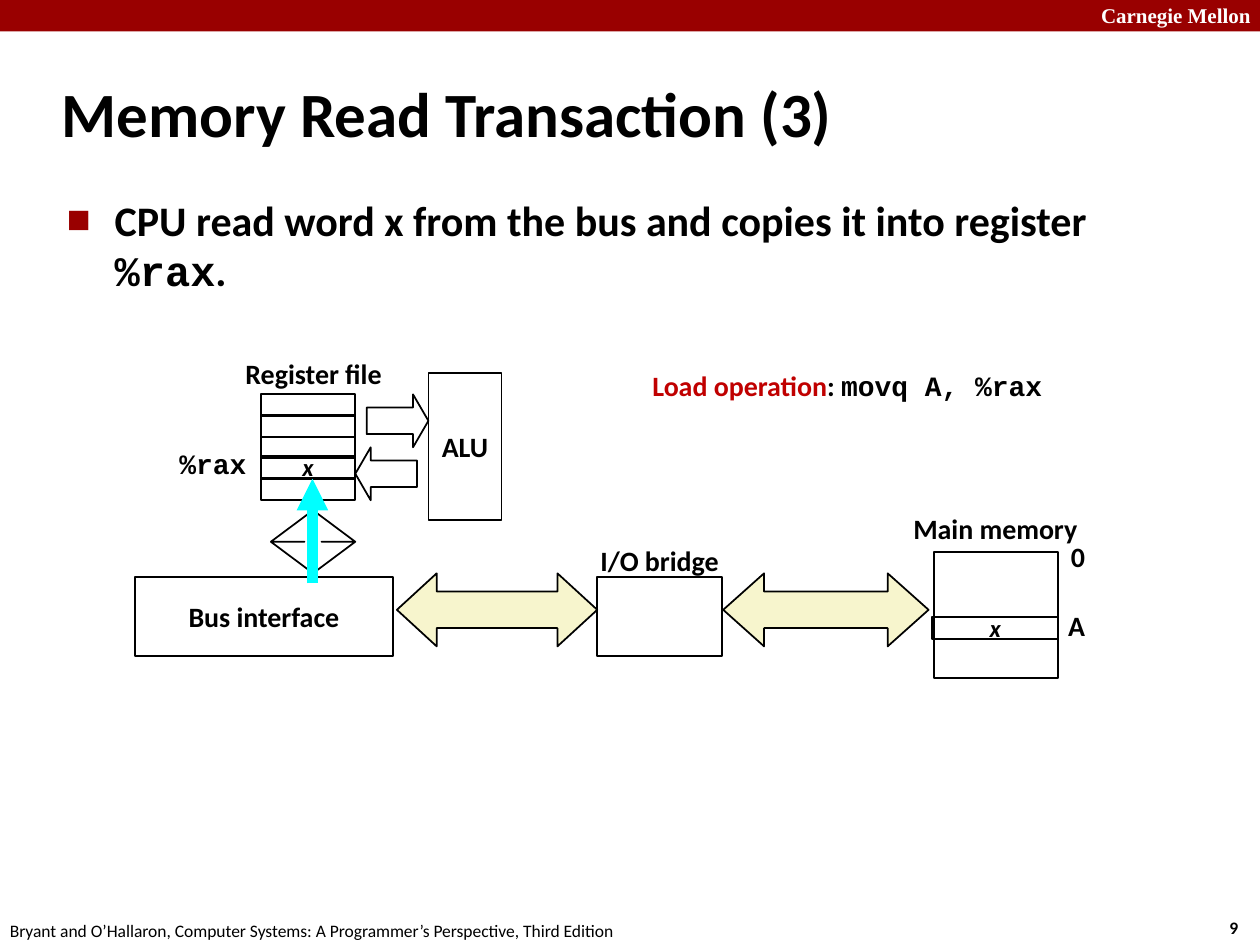
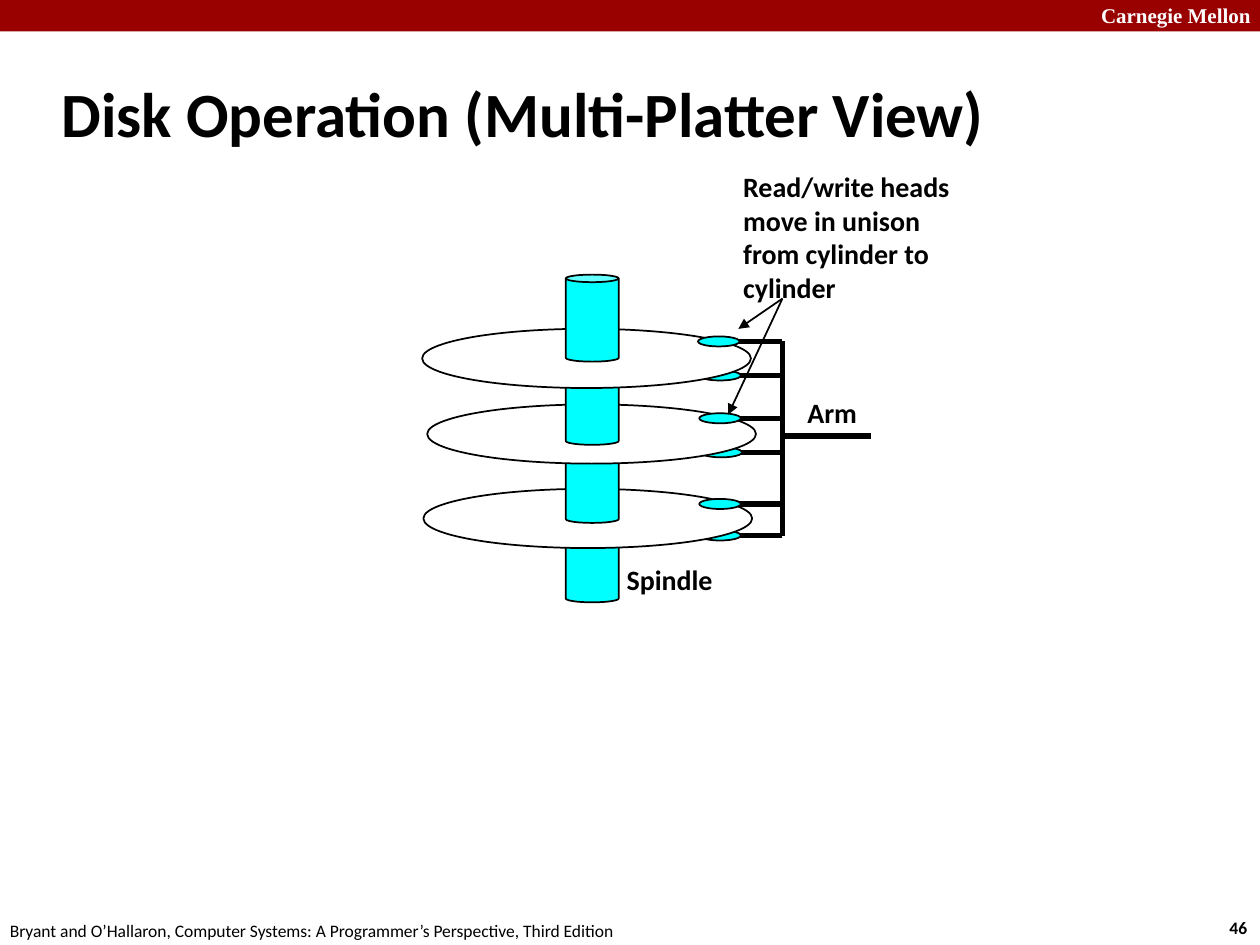
from dataclasses import dataclass
from typing import Any

from lxml import etree
from pptx import Presentation
from pptx.dml.color import RGBColor
from pptx.enum.shapes import MSO_CONNECTOR, MSO_SHAPE
from pptx.enum.text import MSO_ANCHOR, MSO_AUTO_SIZE, PP_ALIGN
from pptx.oxml.ns import qn
from pptx.util import Inches, Pt

RECT, OVAL, CAN = MSO_SHAPE.RECTANGLE, MSO_SHAPE.OVAL, MSO_SHAPE.CAN
RIGHT, LEFT = MSO_SHAPE.RIGHT_ARROW, MSO_SHAPE.LEFT_ARROW
WIDE, TALL = MSO_SHAPE.LEFT_RIGHT_ARROW, MSO_SHAPE.UP_DOWN_ARROW
STRAIGHT = MSO_CONNECTOR.STRAIGHT
START, CENTER = PP_ALIGN.LEFT, PP_ALIGN.CENTER
TOP, MIDDLE = MSO_ANCHOR.TOP, MSO_ANCHOR.MIDDLE
FIXED = MSO_AUTO_SIZE.NONE


@dataclass(frozen=True)
class Theme:
    band: str = "990000"
    accent: str = "C00000"
    ink: str = "000000"
    paper: str = "FFFFFF"
    bus: str = "F7F5CD"
    cyan: str = "00FFFF"
    sans: str = "Calibri"
    code: str = "Courier New"
    serif: str = "Times New Roman"
    title: int = 36
    body: int = 24
    label: int = 16
    word: int = 14
    brand: int = 12
    foot: int = 10


T = Theme()
CODE = {"name": T.code}
WORD = {"size": T.word, "italic": True}


def style(font, **fmt):
    """Apply format values over the default label style."""
    fmt = {"name": T.sans, "size": T.label, "bold": True, "color": T.ink, **fmt}
    font.color.rgb = RGBColor.from_string(fmt.pop("color"))
    fmt["size"] = Pt(fmt["size"])
    for key, value in fmt.items():
        setattr(font, key, value)


def fill_para(para, runs, align=START, **fmt):
    """Write runs, each plain text or a (text, format) pair."""
    para.alignment = align
    para.space_before = Pt(0)
    for item in [runs] if isinstance(runs, str) else runs:
        text, extra = (item, {}) if isinstance(item, str) else item
        run = para.add_run()
        run.text = text
        style(run.font, **{**fmt, **extra})


def set_frame(frame, anchor, wrap):
    values = {"auto_size": FIXED, "word_wrap": wrap, "vertical_anchor": anchor}
    for key, value in values.items():
        setattr(frame, key, value)


def set_indent(para, inches):
    props = para._p.get_or_add_pPr()
    props.set("marL", str(Inches(inches)))
    props.set("indent", str(-Inches(inches)))
    return props


def add_bullet(para):
    props = set_indent(para, 0.38)
    color = etree.SubElement(props, qn("a:buClr"))
    etree.SubElement(color, qn("a:srgbClr"), val=T.band)
    etree.SubElement(props, qn("a:buSzPct"), val="60000")
    etree.SubElement(props, qn("a:buFont"), typeface=T.sans)
    etree.SubElement(props, qn("a:buChar"), char="■")


@dataclass
class Area:
    """A region of a slide; its parts are placed from its top left corner."""
    shapes: Any
    left: float = 0
    top: float = 0

    def spot(self, x, y):
        return Inches(self.left + x), Inches(self.top + y)

    def shape(self, kind, x, y, w, h, fill=None, line=T.ink, adj=(), text=None, **fmt):
        form = self.shapes.add_shape(kind, *self.spot(x, y), Inches(w), Inches(h))
        form.shadow.inherit = False
        for i, value in enumerate(adj):
            form.adjustments[i] = value
        if fill:
            form.fill.solid()
            form.fill.fore_color.rgb = RGBColor.from_string(fill)
        else:
            form.fill.background()
        if line:
            form.line.color.rgb = RGBColor.from_string(line)
            form.line.width = Pt(1)
        else:
            form.line.fill.background()
        if text:
            set_frame(form.text_frame, MIDDLE, False)
            fill_para(form.text_frame.paragraphs[0], text, CENTER, **fmt)

    def text(self, x, y, w, h, *paras, anchor=MIDDLE, wrap=False, **fmt):
        box = self.shapes.add_textbox(*self.spot(x, y), Inches(w), Inches(h))
        frame = box.text_frame
        set_frame(frame, anchor, wrap)
        for i, runs in enumerate(paras):
            para = frame.add_paragraph() if i else frame.paragraphs[0]
            fill_para(para, runs, **fmt)

    def line(self, x1, y1, x2, y2, width=1, color=T.ink, arrow=False):
        wire = self.shapes.add_connector(STRAIGHT, *self.spot(x1, y1), *self.spot(x2, y2))
        wire.line.color.rgb = RGBColor.from_string(color)
        wire.line.width = Pt(width)
        props = wire.element.spPr
        if arrow:
            etree.SubElement(props.find(qn("a:ln")), qn("a:tailEnd"), type="triangle")
        etree.SubElement(props, qn("a:effectLst"))


def place(holder, x, y, w, h):
    box = {"left": x, "top": y, "width": w, "height": h}
    for key, value in box.items():
        setattr(holder, key, Inches(value))


def add_slide(deck, layout, title, number):
    """Start a slide with the shared band, footer and title."""
    slide = deck.slides.add_slide(deck.slide_layouts[layout])
    page = Area(slide.shapes)
    page.shape(RECT, 0, 0, 10, 0.25, T.band, None)
    page.text(8.64, -0.03, 1.43, 0.3, "Carnegie Mellon", anchor=TOP, wrap=True,
              name=T.serif, size=T.brand, color=T.paper)
    page.text(9.66, 7.23, 0.37, 0.27, str(number), anchor=TOP, size=T.foot)
    page.text(-0.02, 7.25, 5.08, 0.27,
              "Bryant and O’Hallaron, Computer Systems: A Programmer’s Perspective, Third Edition",
              anchor=TOP, size=T.foot, bold=False)
    head = slide.shapes.title
    place(head, 0.39, 0.48, 8.3, 0.83)
    set_frame(head.text_frame, MIDDLE, True)
    para = head.text_frame.paragraphs[0]
    set_indent(para, 0.13)
    fill_para(para, title, size=T.title)
    return slide


def add_body(slide, runs):
    body = slide.placeholders[1]
    place(body, 0.43, 1.49, 8.64, 5.44)
    set_frame(body.text_frame, TOP, True)
    para = body.text_frame.paragraphs[0]
    fill_para(para, runs, size=T.body)
    add_bullet(para)


# Memory read
def draw_bus(area):
    for x, w, adj in ((2.59, 1.63, 0.56), (0, 1.59, 0.545)):
        area.shape(WIDE, x, 0.29, w, 0.58, T.bus, adj=(0.5, adj))
    area.shape(RECT, 1.59, 0.32, 0.99, 0.63)
    area.text(1.51, 0, 1.15, 0.37, "I/O bridge", align=CENTER)


def draw_cpu(area):
    # Register file and ALU
    for i in range(5):
        area.shape(RECT, 1, 0.35 + i * 0.167, 0.75, 0.17)
    area.shape(RECT, 1, 0.84, 0.75, 0.17, text="x", **WORD)
    area.text(0.78, 0, 1.3, 0.37, "Register file")
    area.text(0.25, 0.71, 0.74, 0.37, "%rax", align=CENTER, **CODE)
    area.shape(RIGHT, 1.84, 0.35, 0.49, 0.42, adj=(0.5, 0.29))
    area.shape(LEFT, 1.75, 0.77, 0.49, 0.42, adj=(0.5, 0.29))
    area.shape(RECT, 2.33, 0.18, 0.58, 1.17, text="ALU")
    # Bus interface and the word moving up
    area.shape(TALL, 1.08, 1.27, 0.67, 0.5, adj=(0.5, 0.2))
    area.shape(RECT, 0, 1.8, 2.05, 0.63, T.paper, text="Bus interface")
    area.line(1.41, 1.85, 1.41, 1.02, 6, T.cyan, True)


def draw_memory(area):
    area.shape(RECT, 0.33, 0.37, 0.99, 1)
    area.shape(RECT, 0.32, 0.89, 1, 0.17, text="x", **WORD)
    area.text(0, 0, 1.64, 0.37, "Main memory", wrap=True, align=CENTER)
    area.text(1.32, 0.22, 0.32, 0.37, "0")
    area.text(1.3, 0.77, 0.34, 0.37, "A")


def read_slide(deck):
    slide = add_slide(deck, 1, "Memory Read Transaction (3)", 9)
    add_body(slide, ["CPU read word x from the bus and copies it into register ",
                     ("%rax", CODE), "."])
    draw_bus(Area(slide.shapes, 3.15, 4.26))
    draw_cpu(Area(slide.shapes, 1.07, 2.78))
    draw_memory(Area(slide.shapes, 7.08, 4.01))
    Area(slide.shapes, 5.08, 2.88).text(
        0, 0, 3.34, 0.37,
        [("Load operation", {"color": T.accent}), ": ", ("movq A, %rax", CODE)],
        anchor=TOP)


# Disk
def draw_arm(area, x, y):
    """One read/write head on its arm, joined to the spine."""
    area.line(2.86, y, 2.36, y, 3)
    area.shape(OVAL, x, y - 0.04, 0.33, 0.08, T.cyan)


def draw_can(area, y):
    area.shape(CAN, 1.14, y, 0.42, 0.69, T.cyan, adj=(0.142,))


def draw_disk(area):
    # Lower heads sit behind the platters
    for x, y in ((2.2, 0.8), (2.21, 1.41), (2.2, 2.07)):
        draw_arm(area, x, y)
    # Spindle and platters, from the bottom up
    for base, x, y in ((1.91, 0.01, 1.7), (1.28, 0.04, 1.03), (0.66, 0, 0.43)):
        draw_can(area, base)
        area.shape(OVAL, x, y, 2.61, 0.47, T.paper)
    draw_can(area, 0)
    # Upper heads, spine and handle
    for x, y in ((2.19, 0.53), (2.2, 1.14), (2.2, 1.82)):
        draw_arm(area, x, y)
    area.line(2.86, 0.53, 2.86, 2.07, 3)
    area.line(2.86, 1.28, 3.56, 1.28, 3)
    # Labels and pointers
    area.text(2.96, 0.91, 0.61, 0.37, "Arm")
    area.text(1.52, 2.23, 0.89, 0.37, "Spindle", align=CENTER)
    area.text(2.45, -0.89, 2.41, 1.18, "Read/write heads", "move in unison",
              "from cylinder to cylinder", wrap=True)
    for x, y in ((2.51, 0.43), (2.43, 1.11)):
        area.line(2.86, 0.19, x, y, arrow=True)


def disk_slide(deck):
    slide = add_slide(deck, 5, "Disk Operation (Multi-Platter View)", 46)
    draw_disk(Area(slide.shapes, 3.35, 2.18))


def main():
    deck = Presentation()
    deck.slide_width, deck.slide_height = Inches(10), Inches(7.5)
    read_slide(deck)
    disk_slide(deck)
    deck.save("out.pptx")


if __name__ == "__main__":
    main()
